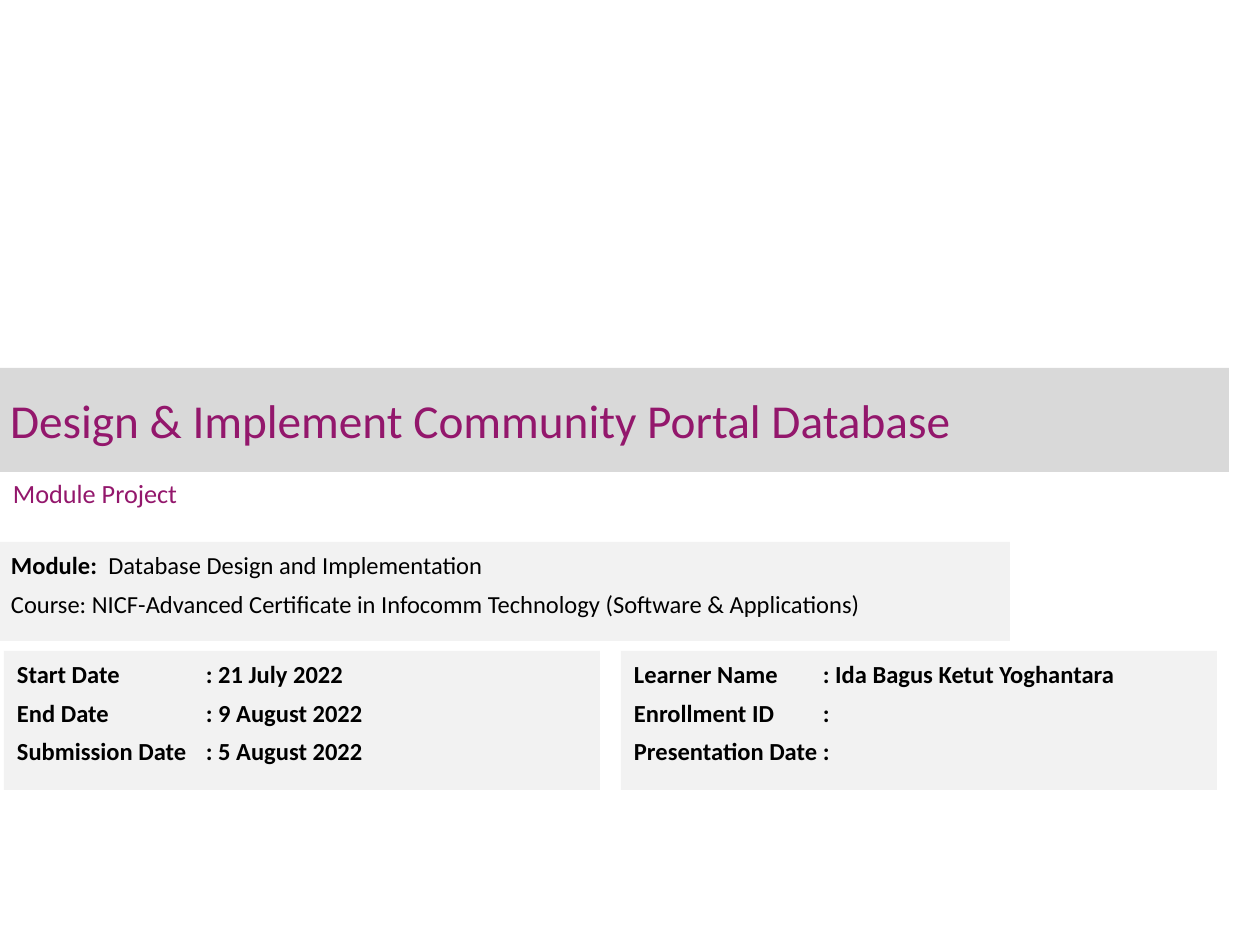
import pptx
import pptx.util
import pptx.dml.color
import pptx.enum.shapes
import pptx.enum.text
import pptx.oxml.ns
import lxml.etree

# Content
TITLE = "Design & Implement Community Portal Database"
SUBTITLE = "Module Project"
COURSE = [
    [("Module:  ", True), ("Database Design and Implementation", False)],
    [("Course: NICF-Advanced Certificate in Infocomm Technology "
      "(Software & Applications)", False)],
]
DETAILS = [
    [("Start Date", "21 July 2022"),
     ("End Date", "9 August 2022"),
     ("Submission Date", "5 August 2022")],
    [("Learner Name", "Ida Bagus Ketut Yoghantara"),
     ("Enrollment ID", ""),
     ("Presentation Date", "")],
]

# Style
COLORS = {"title": "93176C", "text": "000000", "band": "D9D9D9", "panel": "F2F2F2"}
FONT = "Calibri"
PX = 914400 // 126

# Layout in px
PAGE = (1260, 945)
TITLE_BAND = (0, 368, 1229, 104)
SUBTITLE_BOX = (0, 454, 809, 78)
COURSE_PANEL = (-2, 542, 1012, 99)
DETAIL_LEFT, DETAIL_TOP, DETAIL_WIDTH, DETAIL_HEIGHT = 4, 651, 596, 139
DETAIL_GAP = 21
VALUE_TAB = 189


def color(name):
    return pptx.dml.color.RGBColor.from_string(COLORS[name])


def add_tab_stop(para, position):
    stops = lxml.etree.SubElement(
        para._p.get_or_add_pPr(), pptx.oxml.ns.qn("a:tabLst"))
    lxml.etree.SubElement(stops, pptx.oxml.ns.qn("a:tab"),
                          pos=str(position * PX), algn="l")


def add_text(page, paragraphs, area, size=14, ink="text", fill=None,
             middle=False, inset=(13, 6), leading=None, tab=None):
    """Add a box whose paragraphs are lists of (text, bold) spans."""
    place = [value * PX for value in area]
    if fill:
        box = page.shapes.add_shape(
            pptx.enum.shapes.MSO_SHAPE.RECTANGLE, *place)
        box.shadow.inherit = False
        box.fill.solid()
        box.fill.fore_color.rgb = color(fill)
        box.line.fill.background()
    else:
        box = page.shapes.add_textbox(*place)

    frame = box.text_frame
    frame.word_wrap = True
    anchors = pptx.enum.text.MSO_ANCHOR
    frame.vertical_anchor = anchors.MIDDLE if middle else anchors.TOP
    frame.margin_left = frame.margin_right = inset[0] * PX
    frame.margin_top = frame.margin_bottom = inset[1] * PX

    for index, spans in enumerate(paragraphs):
        para = frame.add_paragraph() if index else frame.paragraphs[0]
        para.alignment = pptx.enum.text.PP_ALIGN.LEFT
        if leading:
            para.line_spacing = pptx.util.Pt(leading)
            para.space_before = para.space_after = pptx.util.Pt(2)
        if tab:
            add_tab_stop(para, tab)
        for text, bold in spans:
            span = para.add_run()
            span.text = text
            span.font.name = FONT
            span.font.size = pptx.util.Pt(size)
            span.font.bold = bold
            span.font.color.rgb = color(ink)
    return box


def main():
    deck = pptx.Presentation()
    deck.slide_width, deck.slide_height = (side * PX for side in PAGE)
    page = deck.slides.add_slide(deck.slide_layouts[6])

    # Heading
    add_text(page, [[(TITLE, False)]], TITLE_BAND, size=27, ink="title",
             fill="band", middle=True, inset=(10, 5))
    add_text(page, [[(SUBTITLE, False)]], SUBTITLE_BOX, size=15, ink="title",
             middle=True)

    # Module and course
    add_text(page, COURSE, COURSE_PANEL, fill="panel", leading=18)

    # Dates and learner, side by side
    for column, rows in enumerate(DETAILS):
        left = DETAIL_LEFT + column * (DETAIL_WIDTH + DETAIL_GAP)
        lines = [[(f"{label}\t: {value}".rstrip(), True)] for label, value in rows]
        add_text(page, lines, (left, DETAIL_TOP, DETAIL_WIDTH, DETAIL_HEIGHT),
                 fill="panel", leading=18, tab=VALUE_TAB)

    deck.save("out.pptx")


if __name__ == "__main__":
    main()
